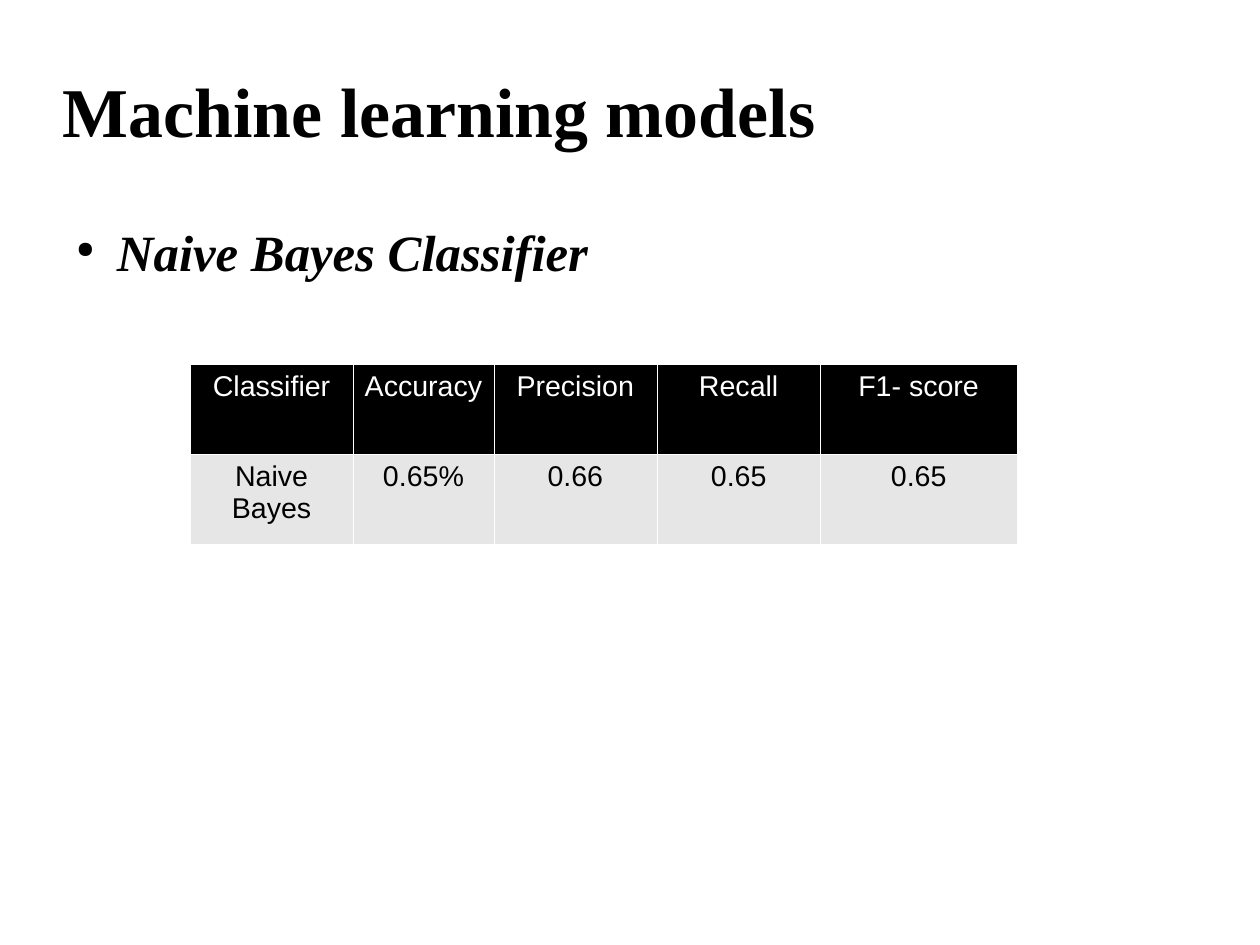
from lxml.etree import SubElement
from pptx import Presentation
from pptx.dml.color import RGBColor
from pptx.enum.text import MSO_ANCHOR, MSO_AUTO_SIZE, PP_ALIGN
from pptx.oxml.ns import qn
from pptx.util import Cm, Pt

INK = {"black": "000000", "white": "FFFFFF", "grey": "E6E6E6"}
HEAD = {"name": "Times New Roman", "size": Pt(44), "bold": True}
POINT = {"name": "Times New Roman", "size": Pt(32), "bold": True, "italic": True}
CELL = {"name": "Arial", "size": Pt(18), "bold": False}
FRAME = {"margin_left": 0, "margin_top": 0, "margin_right": 0, "margin_bottom": 0,
         "word_wrap": True, "auto_size": MSO_AUTO_SIZE.NONE}
WIDTHS = [3.63, 3.12, 3.63, 3.63, 4.37]
SCORES = [["Classifier", "Accuracy", "Precision", "Recall", "F1- score"],
          ["Naive Bayes", "0.65%", "0.66", "0.65", "0.65"]]


def apply(item, values):
    """Set each attribute of item from a dict."""
    for key, value in values.items():
        setattr(item, key, value)


def write(para, text, style, ink, align):
    """Put styled text in a paragraph."""
    para.text = text
    para.alignment = align
    apply(para.runs[0].font, style)
    para.runs[0].font.color.rgb = RGBColor.from_string(INK[ink])


def add_title(slide, box):
    """Move and format the title placeholder."""
    title = slide.shapes.title
    apply(title, dict(zip(("left", "top", "width", "height"), box)))
    apply(title.text_frame, {**FRAME, "vertical_anchor": MSO_ANCHOR.MIDDLE})
    write(title.text_frame.paragraphs[0], "Machine learning models", HEAD, "black", PP_ALIGN.LEFT)


def add_point(slide, box):
    """Add the bulleted model name."""
    frame = slide.shapes.add_textbox(*box).text_frame
    apply(frame, FRAME)
    para = frame.paragraphs[0]
    props = para._p.get_or_add_pPr()
    props.set("marL", str(Cm(1.2)))
    props.set("indent", str(-Cm(0.9)))
    tint = SubElement(props, qn("a:buClr"))
    SubElement(tint, qn("a:srgbClr"), val=INK["black"])
    SubElement(props, qn("a:buSzPct"), val="45000")
    SubElement(props, qn("a:buChar"), char="●")
    para.space_after = Pt(14.2)
    write(para, "Naive Bayes Classifier", POINT, "black", PP_ALIGN.LEFT)


def add_edges(cell):
    """Draw hairlines round a cell."""
    props = cell._tc.get_or_add_tcPr()
    for side in ("lnL", "lnR", "lnT", "lnB"):
        line = SubElement(props, qn(f"a:{side}"), w=str(Pt(0.06)))
        fill = SubElement(line, qn("a:solidFill"))
        SubElement(fill, qn("a:srgbClr"), val=INK["white"])


def add_scores(slide, box):
    """Add the table of scores."""
    table = slide.shapes.add_table(len(SCORES), len(WIDTHS), *box).table
    for col, width in zip(table.columns, WIDTHS):
        col.width = Cm(width)
    for row, texts in enumerate(SCORES):
        back, ink = ("grey", "black") if row else ("black", "white")
        for col, text in enumerate(texts):
            cell = table.cell(row, col)
            add_edges(cell)
            cell.fill.solid()
            cell.fill.fore_color.rgb = RGBColor.from_string(INK[back])
            write(cell.text_frame.paragraphs[0], text, CELL, ink, PP_ALIGN.CENTER)


def main():
    """Build and save the slide."""
    deck = Presentation()
    apply(deck, {"slide_width": Cm(28), "slide_height": Cm(21)})
    slide = deck.slides.add_slide(deck.slide_layouts[5])
    add_title(slide, (Cm(1.4), Cm(0.84), Cm(21.4), Cm(3.18)))
    add_point(slide, (Cm(1.4), Cm(4.9), Cm(12), Cm(1.7)))
    add_scores(slide, (Cm(4.22), Cm(8.1), Cm(sum(WIDTHS)), Cm(4)))
    deck.save("out.pptx")


if __name__ == "__main__":
    main()
